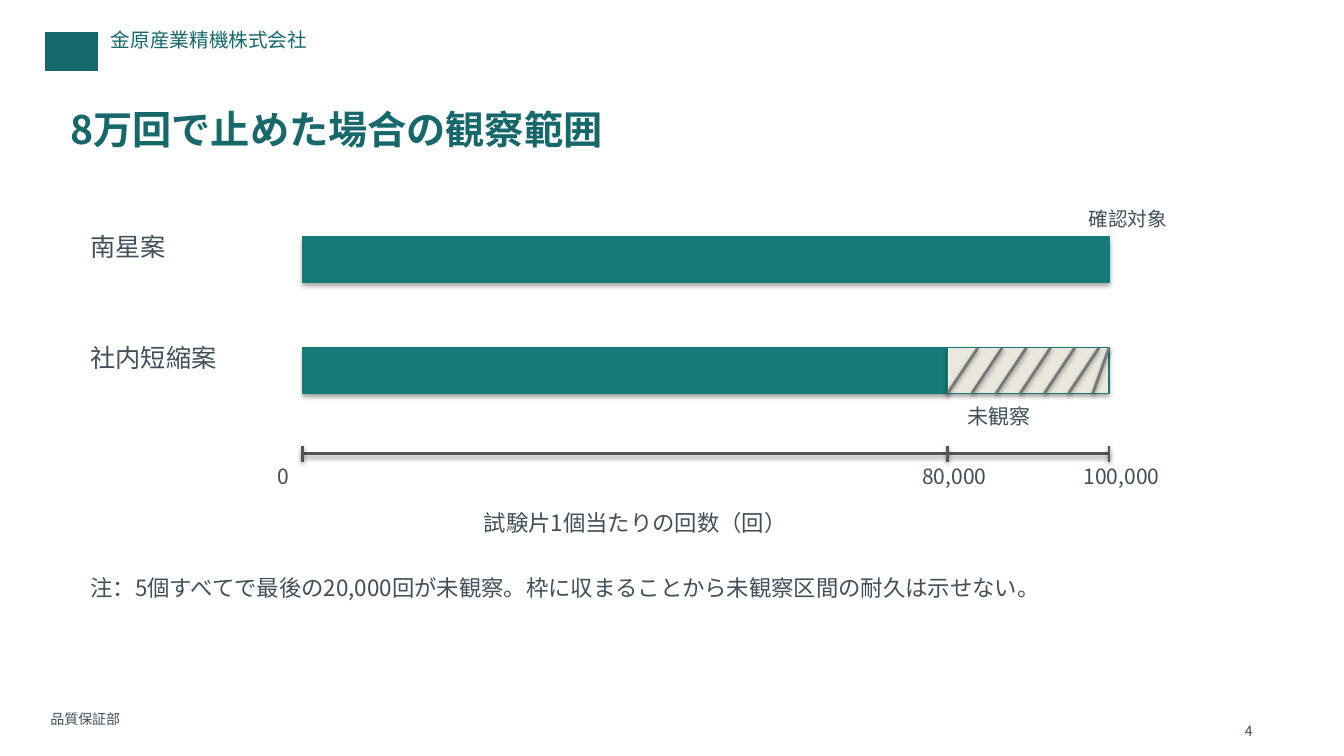
from lxml import etree
from pptx import Presentation
from pptx import util as u
from pptx.dml.color import RGBColor
from pptx.enum import shapes
from pptx.oxml.ns import qn

# Content: text, left, top, width, height (px), size key
HEADER = ("金原産業精機株式会社", 110, 28, 600, 45, "small")
FOOTER = ("品質保証部", 50, 705, 500, 25, "tiny")
TITLE = ("8万回で止めた場合の観察範囲", 60, 100, 1210, 80, "title")
LABELS = [
    ("確認対象", 1070, 200, 180, 40, "small"),
    ("未観察", 950, 395, 150, 40, "tick"),
    ("試験片1個当たりの回数（回）", 470, 500, 600, 40, "note"),
    ("注：5個すべてで最後の20,000回が未観察。枠に収まることから未観察区間の耐久は示せない。",
     80, 565, 1190, 80, "note"),
    ("4", 1225, 712, 50, 25, "tiny"),
]
TARGET = 100_000
PLANS = [("南星案", 100_000), ("社内短縮案", 80_000)]
TICKS = [0, 80_000, 100_000]

THEME = {
    "font": "Noto Sans CJK JP",
    "color": {"brand": "16686A", "text": "424F59", "observed": "167B78",
              "unobserved": "EAE8DD", "hatch": "777777", "axis": "555555"},
    "size": {"title": 28, "row": 18, "note": 16, "tick": 15, "small": 14, "tiny": 10},
}

# Layout in px, 100 px to the inch
PX = 9144
SLIDE_W, SLIDE_H = 1333, 750
AXIS_X, AXIS_W, AXIS_Y, TICK_HALF = 300, 800, 450, 8
BAR_TOP, BAR_H, BAR_PITCH = 235, 45, 110
HATCH_STEP, HATCH_RUN = 24, 30


def px(n):
    return u.Emu(n * PX)


def color(name):
    return RGBColor.from_string(THEME["color"][name])


def cycles_x(cycles):
    """Horizontal place of a cycle count on the axis."""
    return AXIS_X + AXIS_W * cycles // TARGET


def add_text(slide, content, left, top, width, height, size, ink="text", bold=False, inset=True):
    tf = slide.shapes.add_textbox(px(left), px(top), px(width), px(height)).text_frame
    tf.word_wrap = True
    if not inset:
        tf.margin_left = tf.margin_right = tf.margin_top = tf.margin_bottom = 0
    p = tf.paragraphs[0]
    p.text = content
    p.font.name = THEME["font"]
    p.font.size = u.Pt(THEME["size"][size])
    p.font.bold = bold
    p.font.color.rgb = color(ink)
    # East Asian glyphs need their own typeface entry
    etree.SubElement(p.font._element, qn("a:ea"), typeface=THEME["font"])


def add_bar(slide, left, top, width, height, fill, line):
    """Rectangle that keeps the soft shadow of the theme."""
    sp = slide.shapes.add_shape(shapes.MSO_SHAPE.RECTANGLE,
                                px(left), px(top), px(width), px(height))
    sp.fill.solid()
    sp.fill.fore_color.rgb = color(fill)
    sp.line.color.rgb = color(line)
    sp.line.width = u.Pt(0.75)
    return sp


def add_line(slide, x1, y1, x2, y2, ink):
    """Line that keeps the soft shadow of the theme."""
    line = slide.shapes.add_connector(shapes.MSO_CONNECTOR.STRAIGHT,
                                      px(x1), px(y1), px(x2), px(y2))
    line.line.color.rgb = color(ink)
    line.line.width = u.Pt(2)


def add_plan(slide, name, cycles, top):
    add_text(slide, name, 80, top - 10, 180, 40, "row")
    stop, end = cycles_x(cycles), cycles_x(TARGET)
    add_bar(slide, AXIS_X, top, stop - AXIS_X, BAR_H, "observed", "observed")
    if stop < end:
        add_bar(slide, stop, top, end - stop, BAR_H, "unobserved", "observed")
    for x in range(stop, end, HATCH_STEP):
        add_line(slide, x, top + BAR_H, min(x + HATCH_RUN, end), top, "hatch")


def add_axis(slide):
    add_line(slide, AXIS_X, AXIS_Y, AXIS_X + AXIS_W, AXIS_Y, "axis")
    for cycles in TICKS:
        x = cycles_x(cycles)
        add_line(slide, x, AXIS_Y - TICK_HALF, x, AXIS_Y + TICK_HALF, "axis")
        add_text(slide, f"{cycles:,}", x - 35, AXIS_Y + 5, 120, 40, "tick")


def main():
    prs = Presentation()
    prs.slide_width, prs.slide_height = px(SLIDE_W), px(SLIDE_H)
    slide = prs.slides.add_slide(prs.slide_layouts[6])

    emblem = add_bar(slide, 45, 32, 52, 38, "brand", "brand")
    emblem.shadow.inherit = False
    add_text(slide, *HEADER, ink="brand", inset=False)
    add_text(slide, *FOOTER, inset=False)
    add_text(slide, *TITLE, ink="brand", bold=True)

    for i, (name, cycles) in enumerate(PLANS):
        add_plan(slide, name, cycles, BAR_TOP + i * BAR_PITCH)
    add_axis(slide)
    for label in LABELS:
        add_text(slide, *label)

    prs.save("out.pptx")


if __name__ == "__main__":
    main()
